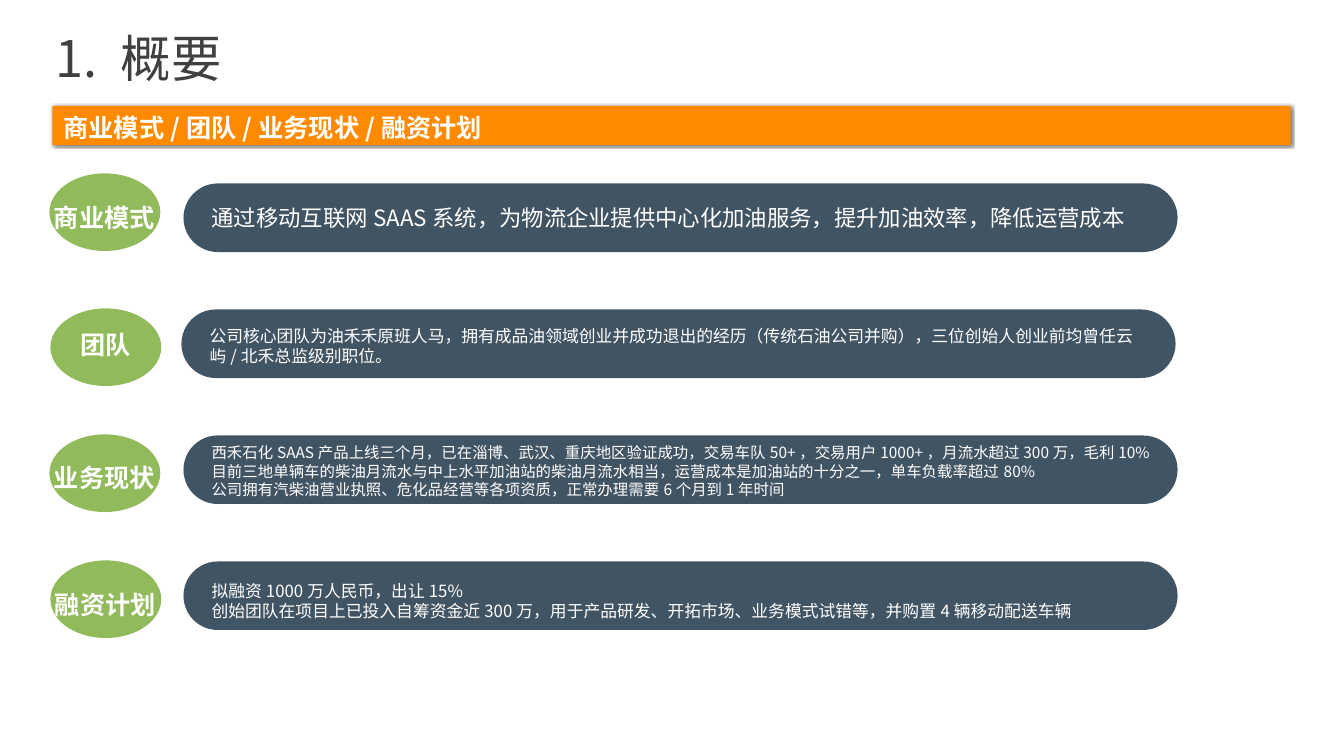
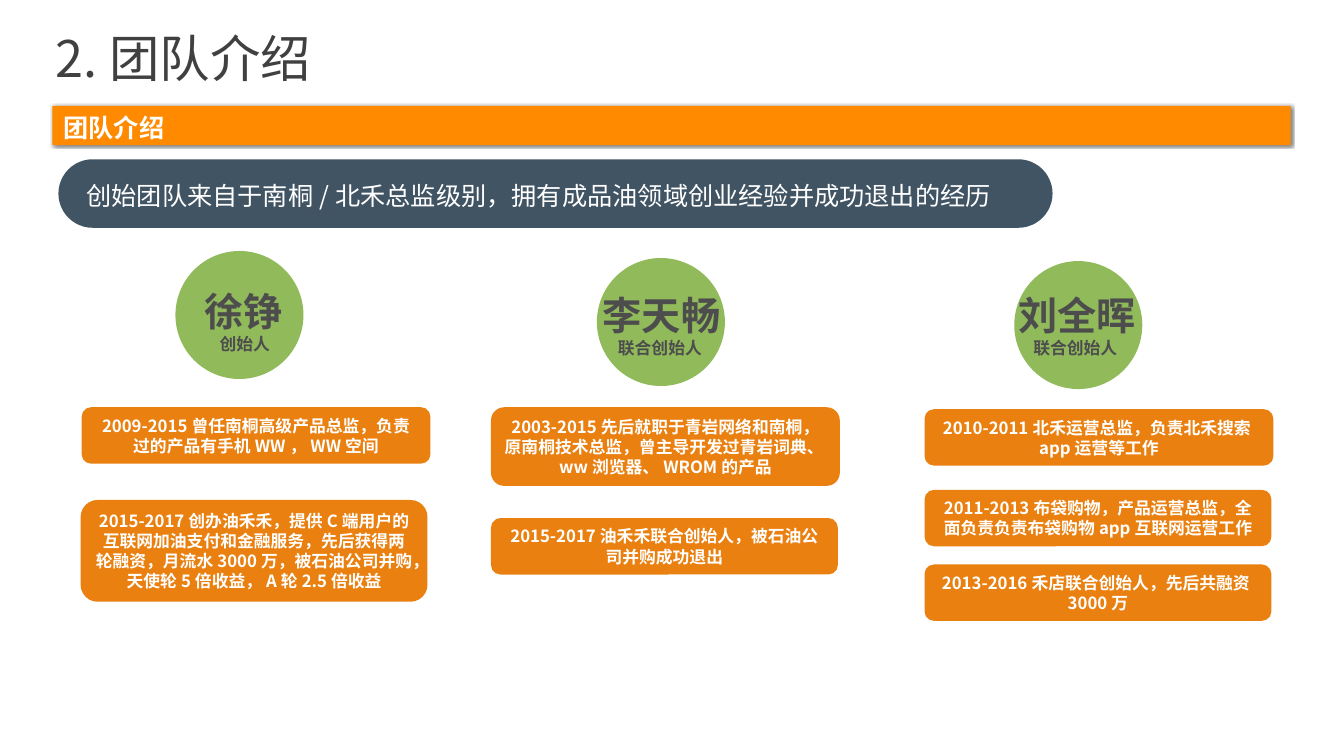
import dataclasses
import typing

import lxml.etree
import pptx
import pptx.dml.color
import pptx.enum.shapes
import pptx.enum.text
import pptx.oxml.ns
import pptx.util

Inches = pptx.util.Inches
Pt = pptx.util.Pt
RGBColor = pptx.dml.color.RGBColor
Shapes = pptx.enum.shapes.MSO_SHAPE
Align = pptx.enum.text.PP_ALIGN
Anchor = pptx.enum.text.MSO_ANCHOR
qn = pptx.oxml.ns.qn

FONT = "Noto Sans CJK SC"
WHITE = RGBColor(0xFF, 0xFF, 0xFF)
TITLE_GRAY = RGBColor(0x40, 0x40, 0x40)
NAME_GRAY = RGBColor(0x4D, 0x4D, 0x4D)
BAND_ORANGE = RGBColor(0xFF, 0x8A, 0x00)
CARD_ORANGE = RGBColor(0xEA, 0x80, 0x10)
SLATE = RGBColor(0x41, 0x54, 0x63)
GREEN = RGBColor(0x91, 0xBA, 0x5B)

PILL_SIZE = (9.86, 0.68)
PILL_TEXT_INDENT = 0.18
PILL_TEXT_WIDTH = 9.52
ROW_TOP = 1.82
ROW_STEP = 1.25
LINE_HEIGHT = 1.2
BASELINE_DROP = 0.07


@dataclasses.dataclass(frozen=True)
class SummaryRow:
    label: str
    lines: tuple[str, ...]
    size: float
    pill_left: float
    text_top: float
    oval_left: float
    oval_top: float
    label_top: float


@dataclasses.dataclass(frozen=True)
class Card:
    top: float
    width: float
    height: float
    text: str
    shift: float = 0


@dataclasses.dataclass(frozen=True)
class Founder:
    name: str
    role: str
    circle: tuple[float, float]
    name_box: tuple[float, float, float]
    card_left: float
    cards: tuple[Card, ...]


ROWS = (
    SummaryRow(
        "商业模式",
        ("通过移动互联网SAAS系统，为物流企业提供中心化加油服务，提升加油效率，降低运营成本",),
        16, 1.82, 1.96, 0.49, 1.72, 1.94,
    ),
    SummaryRow(
        "团队",
        ("公司核心团队为油禾禾原班人马，拥有成品油领域创业并成功退出的经历（传统石油公司并购），"
         "三位创始人创业前均曾任云屿/北禾总监级别职位。",),
        12, 1.8, 3.17, 0.5, 3.06, 3.2,
    ),
    SummaryRow(
        "业务现状",
        ("西禾石化SAAS产品上线三个月，已在淄博、武汉、重庆地区验证成功，交易车队50+，"
         "交易用户1000+，月流水超过300万，毛利10%",
         "目前三地单辆车的柴油月流水与中上水平加油站的柴油月流水相当，"
         "运营成本是加油站的十分之一，单车负载率超过80%",
         "公司拥有汽柴油营业执照、危化品经营等各项资质，正常办理需要6个月到1年时间"),
        11, 1.82, 4.34, 0.49, 4.31, 4.52,
    ),
    SummaryRow(
        "融资计划",
        ("拟融资1000万人民币，出让15%",
         "创始团队在项目上已投入自筹资金近300万，用于产品研发、开拓市场、业务模式试错等，"
         "并购置4辆移动配送车辆"),
        12, 1.82, 5.7, 0.5, 5.56, 5.78,
    ),
)

FOUNDERS = (
    Founder(
        "徐铮", "创始人", (1.74, 2.49), (1.93, 2.77, 0.99), 0.81,
        (
            Card(4.04, 3.46, 0.56, "2009-2015曾任南桐高级产品总监，负责过的产品有手机WW，WW空间"),
            Card(4.96, 3.44, 1.01,
                 "2015-2017创办油禾禾，提供C端用户的互联网加油支付和金融服务，先后获得两轮融资，"
                 "月流水3000万，被石油公司并购，天使轮5倍收益，A轮2.5倍收益", -0.01),
        ),
    ),
    Founder(
        "李天畅", "联合创始人", (5.92, 2.56), (5.88, 2.81, 1.38), 4.87,
        (
            Card(4.04, 3.46, 0.78,
                 "2003-2015先后就职于青岩网络和南桐，原南桐技术总监，"
                 "曾主导开发过青岩词典、ww浏览器、WROM的产品"),
            Card(5.14, 3.44, 0.56, "2015-2017油禾禾联合创始人，被石油公司并购成功退出"),
        ),
    ),
    Founder(
        "刘全晖", "联合创始人", (10.06, 2.59), (10, 2.81, 1.38), 9.17,
        (
            Card(4.06, 3.46, 0.56, "2010-2011北禾运营总监，负责北禾搜索app运营等工作"),
            Card(4.86, 3.44, 0.56, "2011-2013布袋购物，产品运营总监，全面负责负责布袋购物app互联网运营工作"),
            Card(5.6, 3.44, 0.56, "2013-2016禾店联合创始人，先后共融资3000万"),
        ),
    ),
)


def write_line(para: typing.Any, text: str, *, size: float, color: RGBColor,
               bold: bool = False, align: typing.Any = Align.LEFT,
               spacing: float = LINE_HEIGHT) -> None:
    para.alignment = align
    para.line_spacing = Pt(round(size * spacing, 1))
    span = para.add_run()
    span.text = text
    span.font.size = Pt(size)
    span.font.bold = bold
    span.font.color.rgb = color
    span.font.name = FONT
    east_asian = lxml.etree.SubElement(span.font._element, qn("a:ea"))
    east_asian.set("typeface", FONT)


def add_text(page: typing.Any, lines: tuple[str, ...], left: float, top: float,
             width: float, height: float, *, size: float, inset: bool = True,
             wrap: bool = True, **style: typing.Any) -> typing.Any:
    box = page.shapes.add_textbox(Inches(left), Inches(top) + Pt(size * BASELINE_DROP),
                                  Inches(width), Inches(height))
    frame = box.text_frame
    frame.word_wrap = wrap
    if not inset:
        frame.margin_left = frame.margin_right = frame.margin_top = frame.margin_bottom = 0
    for index, line in enumerate(lines):
        para = frame.add_paragraph() if index else frame.paragraphs[0]
        write_line(para, line, size=size, **style)
    return box


def add_block(page: typing.Any, kind: typing.Any, left: float, top: float,
              width: float, height: float, fill: RGBColor) -> typing.Any:
    block = page.shapes.add_shape(kind, Inches(left), Inches(top), Inches(width), Inches(height))
    block.shadow.inherit = False
    block.fill.solid()
    block.fill.fore_color.rgb = fill
    block.line.fill.background()
    return block


def cast_shadow(block: typing.Any) -> None:
    effects = block._element.spPr.find(qn("a:effectLst"))
    shadow = lxml.etree.SubElement(effects, qn("a:outerShdw"), blurRad=str(Pt(2)),
                                   dist=str(Pt(1)), dir=str(45 * 60000),
                                   algn="tl", rotWithShape="0")
    color = lxml.etree.SubElement(shadow, qn("a:srgbClr"), val="000000")
    lxml.etree.SubElement(color, qn("a:alpha"), val="50000")


def add_page(deck: typing.Any, title: str, subtitle: str) -> typing.Any:
    page = deck.slides.add_slide(deck.slide_layouts[6])
    cast_shadow(add_block(page, Shapes.RECTANGLE, 0.52, 1.05, 12.28, 0.39, BAND_ORANGE))
    add_text(page, (title,), 0.55, 0.35, 12.26, 0.48, size=36, color=TITLE_GRAY,
             inset=False, spacing=0.96)
    add_text(page, (subtitle,), 0.63, 1.1, 11.69, 0.3, size=18, color=WHITE,
             bold=True, inset=False)
    return page


def add_pill(page: typing.Any, lines: tuple[str, ...], left: float, top: float,
             text_top: float, size: float) -> None:
    pill = add_block(page, Shapes.ROUNDED_RECTANGLE, left, top, *PILL_SIZE, SLATE)
    pill.adjustments[0] = 0.5
    height = len(lines) * size * LINE_HEIGHT / 72 + 0.1
    add_text(page, lines, left + PILL_TEXT_INDENT, text_top, PILL_TEXT_WIDTH, height,
             size=size, color=WHITE)


def add_summary_row(page: typing.Any, row: SummaryRow, top: float) -> None:
    add_pill(page, row.lines, row.pill_left, top, row.text_top, row.size)
    add_block(page, Shapes.OVAL, row.oval_left, row.oval_top, 1.1, 0.77, GREEN)
    add_text(page, (row.label,), row.oval_left - 0.23, row.label_top, 1.55, 0.4,
             size=18, color=WHITE, bold=True, align=Align.CENTER)


def add_card(page: typing.Any, card: Card, left: float) -> None:
    block = add_block(page, Shapes.ROUNDED_RECTANGLE, left + card.shift, card.top,
                      card.width, card.height, CARD_ORANGE)
    frame = block.text_frame
    frame.word_wrap = True
    frame.vertical_anchor = Anchor.MIDDLE
    write_line(frame.paragraphs[0], card.text, size=12, color=WHITE, bold=True,
               align=Align.CENTER)


def add_founder(page: typing.Any, founder: Founder) -> None:
    add_block(page, Shapes.OVAL, *founder.circle, 1.27, 1.27, GREEN)
    box = add_text(page, (founder.name,), *founder.name_box, 0.77, size=28,
                   color=NAME_GRAY, bold=True, wrap=False)
    role = box.text_frame.add_paragraph()
    write_line(role, founder.role, size=12, color=NAME_GRAY, bold=True)
    role._p.get_or_add_pPr().set("marL", str(Inches(0.15)))
    for card in founder.cards:
        add_card(page, card, founder.card_left)


def main() -> None:
    deck = pptx.Presentation()
    deck.slide_width = Inches(13.33)
    deck.slide_height = Inches(7.5)

    summary = add_page(deck, "1. 概要", "商业模式/团队/业务现状/融资计划")
    for index, row in enumerate(ROWS):
        add_summary_row(summary, row, ROW_TOP + index * ROW_STEP)

    team = add_page(deck, "2.团队介绍", "团队介绍")
    add_pill(team, ("创始团队来自于南桐/北禾总监级别，拥有成品油领域创业经验并成功退出的经历",),
             0.58, 1.58, 1.72, 18)
    for founder in FOUNDERS:
        add_founder(team, founder)

    deck.save("out.pptx")


if __name__ == "__main__":
    main()
